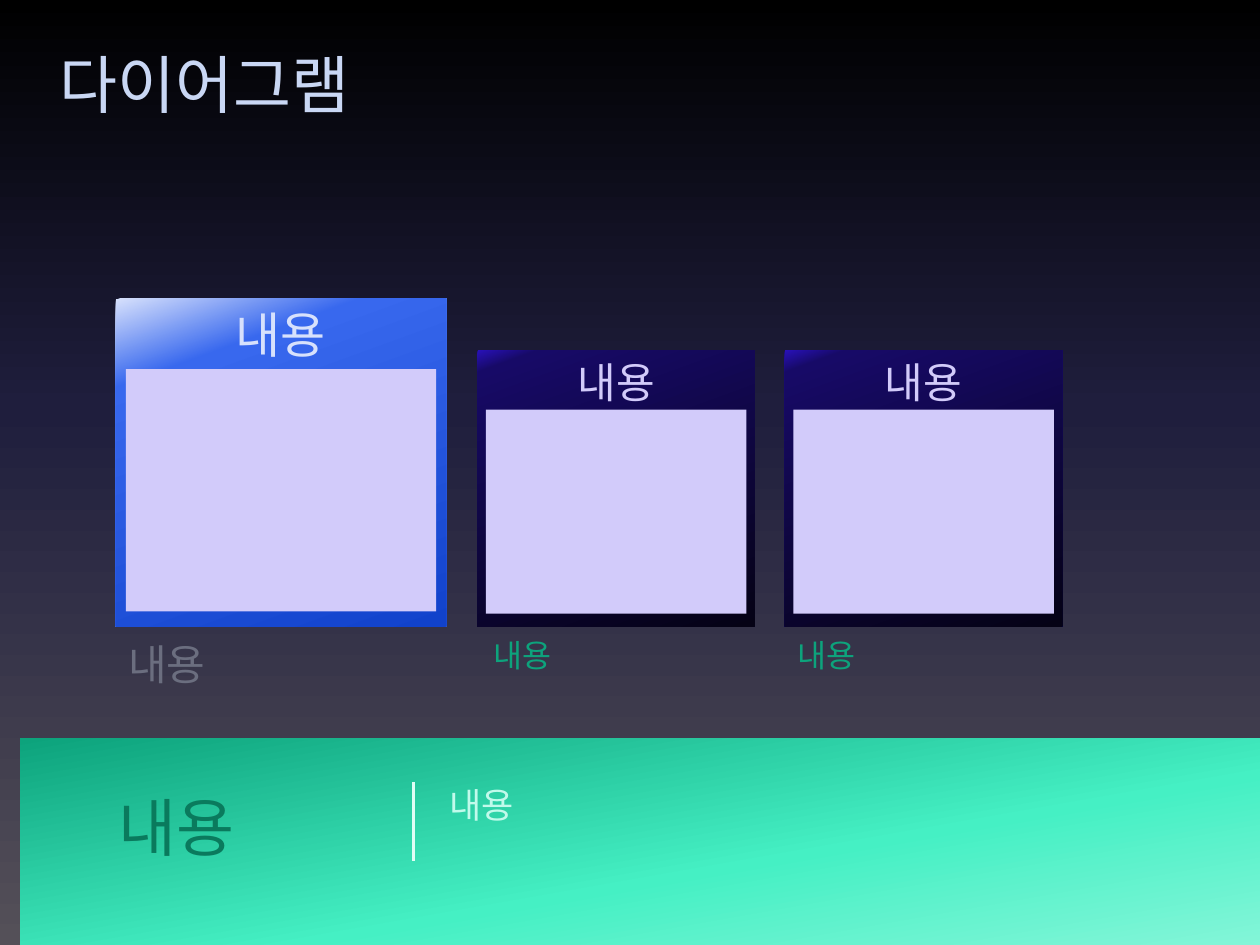
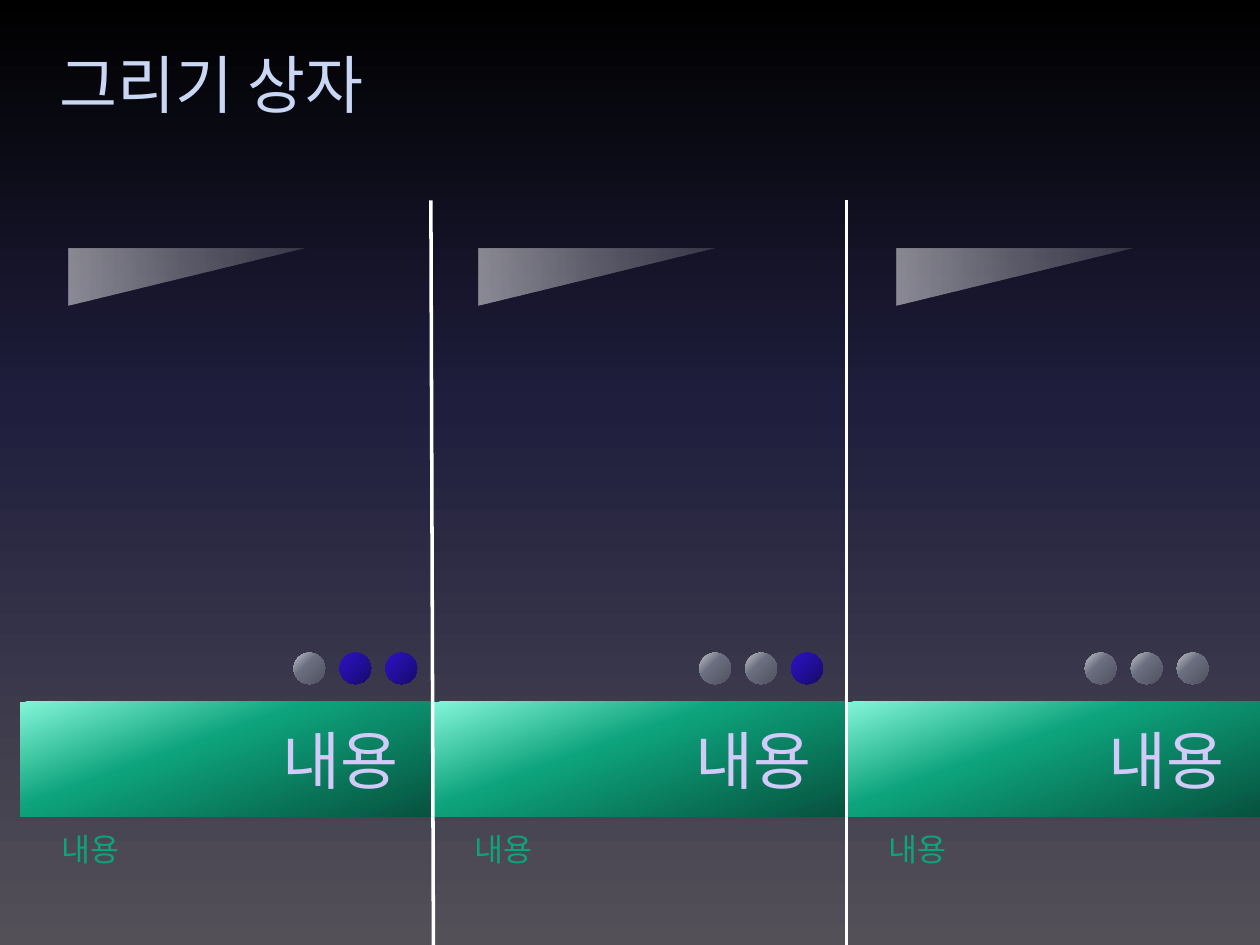
from pptx import Presentation
from pptx.dml.color import RGBColor
from pptx.enum.shapes import MSO_CONNECTOR, MSO_SHAPE
from pptx.enum.text import MSO_ANCHOR, MSO_AUTO_SIZE, PP_ALIGN
from pptx.oxml.ns import qn
from pptx.util import Inches, Pt
from lxml.etree import SubElement

RECTANGLE, OVAL, TRIANGLE = MSO_SHAPE.RECTANGLE, MSO_SHAPE.OVAL, MSO_SHAPE.RIGHT_TRIANGLE
STRAIGHT = MSO_CONNECTOR.STRAIGHT
TOP, MIDDLE = MSO_ANCHOR.TOP, MSO_ANCHOR.MIDDLE
LEFT, CENTER, RIGHT = PP_ALIGN.LEFT, PP_ALIGN.CENTER, PP_ALIGN.RIGHT
GROW = MSO_AUTO_SIZE.SHAPE_TO_FIT_TEXT

FONT = "Arial"
TITLE_ONLY = 5
CONTENT = "내용"
COLORS = {
    "title": "C9D7F4", "lavender": "D2CBFA", "ice": "D7E1FC", "gray": "6B6E7F",
    "green": "0DA37C", "deep_green": "0A7A5D", "mint": "C1FAEB",
    "pale_mint": "E0FDF5", "white": "FFFFFF",
}
GRADIENTS = {
    "page": (90, [(0, "000000"), (43, "1F1E3D"), (100, "545058")]),
    "navy": (70, [(0, "2911BA"), (6, "170A67"), (100, "050215")]),
    "blue": (70, [(0, "D7E1FC"), (20, "3868EE"), (100, "1142CB")]),
    "footer": (260, [(0, "83F5D8"), (40, "45F0C4"), (100, "0DA37C")]),
    "bar": (70, [(0, "83F5D8"), (40, "0DA37C"), (100, "07523E")]),
    "gray_dot": (45, [(0, "C3C4CD"), (40, "6B6E7F"), (100, "50525F")]),
    "blue_dot": (45, [(0, "2C12C5"), (50, "220E9B"), (100, "170A67")]),
    "wedge": (90, [(0, "FFFFFF", 15), (50, "FFFFFF", 30), (100, "FFFFFF", 50)]),
}


def color(name):
    """Return the named colour."""
    return RGBColor.from_string(COLORS[name])


def apply(target, values):
    """Set each named attribute of the target."""
    for name, value in values.items():
        setattr(target, name, value)


def paint_gradient(fill, element, name):
    """Give a fill the stops and angle of a named gradient."""
    angle, stops = GRADIENTS[name]
    fill.gradient()
    fill.gradient_angle = 360 - angle
    stop_list = next(element.iter(qn("a:gsLst")))
    stop_list.clear()
    for position, value, *opacity in stops:
        stop = SubElement(stop_list, qn("a:gs"), pos=str(position * 1000))
        tint = SubElement(stop, qn("a:srgbClr"), val=value)
        for percent in opacity:
            SubElement(tint, qn("a:alpha"), val=str(percent * 1000))


def write(shape, text, size, tint, align=LEFT, **frame_values):
    """Write one formatted paragraph in a shape and return it."""
    frame = shape.text_frame
    apply(frame, {"word_wrap": True, "vertical_anchor": TOP, **frame_values})
    para = frame.paragraphs[0]
    para.alignment = align
    span = para.add_run()
    span.text = text
    apply(span.font, {"name": FONT, "size": Pt(size)})
    span.font.color.rgb = color(tint)
    return para


def add_form(page, kind, box, fill):
    """Add an unlined shape with a plain or gradient fill."""
    shape = page.shapes.add_shape(kind, *map(Inches, box))
    shape.shadow.inherit = False
    shape.line.fill.background()
    if fill in GRADIENTS:
        paint_gradient(shape.fill, shape.element, fill)
    else:
        shape.fill.solid()
        shape.fill.fore_color.rgb = color(fill)
    return shape


def add_label(page, box, size, tint, **frame_values):
    """Add a text box that grows with its text."""
    label = page.shapes.add_textbox(*map(Inches, box))
    return write(label, CONTENT, size, tint, auto_size=GROW, **frame_values)


def add_rule(page, start, end, tint, width):
    """Add a straight line without a shadow."""
    rule = page.shapes.add_connector(STRAIGHT, *map(Inches, (*start, *end)))
    rule.line.color.rgb = color(tint)
    rule.line.width = Pt(width)
    SubElement(rule.element.spPr, qn("a:effectLst"))


def add_page(deck, title):
    """Add a slide with the shared title style."""
    page = deck.slides.add_slide(deck.slide_layouts[TITLE_ONLY])
    holder = page.shapes.title
    apply(holder, {"left": Inches(0.37), "top": Inches(0.2),
                   "width": Inches(9.26), "height": Inches(0.92)})
    write(holder, title, 36, "title", vertical_anchor=MIDDLE)
    return page


def add_card(page, box, fill, size, tint):
    """Add a headed card with an empty panel inside it."""
    left, top, width, height = box
    card = add_form(page, RECTANGLE, box, fill)
    write(card, CONTENT, size, tint, CENTER)
    panel = (left + 0.03 * width, top + 0.215 * height, 0.94 * width, 0.74 * height)
    add_form(page, RECTANGLE, panel, "lavender")


def add_footer(page, box):
    """Add the green band with its heading, divider and note."""
    left, top, _, _ = box
    add_form(page, RECTANGLE, box, "footer")
    margins = dict.fromkeys(
        ("margin_left", "margin_top", "margin_right", "margin_bottom"), 0)
    add_label(page, (left + 0.78, top + 0.4, 2.16, 0.6), 36, "deep_green",
              vertical_anchor=MIDDLE, **margins)
    note = add_label(page, (left + 3.31, top + 0.31, 5.83, 0.77), 20, "mint")
    properties = note._p.get_or_add_pPr()
    properties.set("marL", str(Inches(0.19)))
    properties.set("indent", str(Inches(-0.19)))
    divider = left + 3.12
    add_rule(page, (divider, top + 0.35), (divider, top + 0.97), "pale_mint", 0)


def add_column(page, box, wedge_offset, dot_offset, blue_dots):
    """Add a column with a wedge, three dots, a bar and a caption."""
    left, top, width, _ = box
    bar = add_form(page, RECTANGLE, (left, top + 3.98, width, 0.91), "bar")
    write(bar, CONTENT, 36, "lavender", RIGHT, vertical_anchor=MIDDLE,
          margin_right=Inches(0.28))
    add_label(page, (left + 0.23, top + 4.95, 2.81, 0.71), 18, "green")
    for index in range(3):
        fill = "blue_dot" if index >= 3 - blue_dots else "gray_dot"
        dot_left = left + dot_offset + index * 0.365
        add_form(page, OVAL, (dot_left, top + 3.59, 0.25, 0.25), fill)
    wedge = add_form(page, TRIANGLE, (left + wedge_offset, top - 0.33, 0.45, 1.88), "wedge")
    wedge.rotation = 90


def build_diagram(deck):
    """Build the slide with three cards above a band."""
    page = add_page(deck, "다이어그램")
    add_card(page, (0.92, 2.37, 2.62, 2.6), "blue", 28, "ice")
    add_label(page, (0.92, 5.02, 2.6, 0.5), 24, "gray")
    for card_left, caption_left in ((3.79, 3.82), (6.23, 6.23)):
        add_card(page, (card_left, 2.78, 2.2, 2.19), "navy", 24, "lavender")
        add_label(page, (caption_left, 5, 2.18, 0.4), 18, "green")
    add_footer(page, (0.16, 5.86, 9.84, 1.64))


def build_drawing_boxes(deck):
    """Build the slide with three divided columns."""
    page = add_page(deck, "그리기 상자")
    left, top, width, height = 0.16, 1.59, 3.28, 5.91
    columns = ((1.1, 2.17, 2), (1.07, 2.11, 1), (1.11, 1.89, 0))
    for index, column in enumerate(columns):
        add_column(page, (left + index * width, top, width, height), *column)
    for foot, head in ((3.44, 3.42), (6.72, 6.72)):
        add_rule(page, (foot, top + height), (head, top), "white", 2)


def main():
    """Build and save the deck."""
    deck = Presentation()
    apply(deck, {"slide_width": Inches(10), "slide_height": Inches(7.5)})
    master = deck.slide_master
    paint_gradient(master.background.fill, master.element, "page")
    build_diagram(deck)
    build_drawing_boxes(deck)
    deck.save("out.pptx")


if __name__ == "__main__":
    main()
